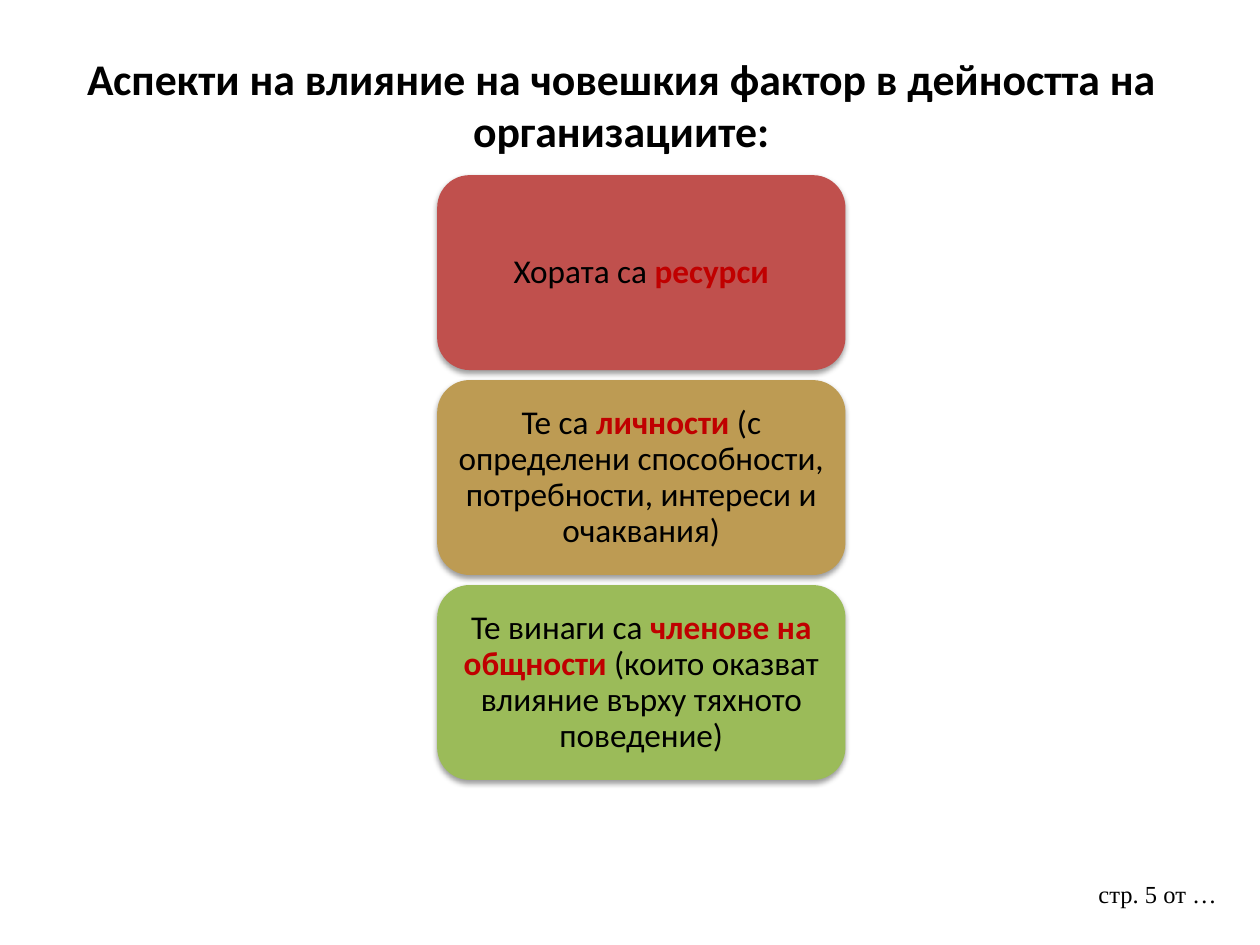
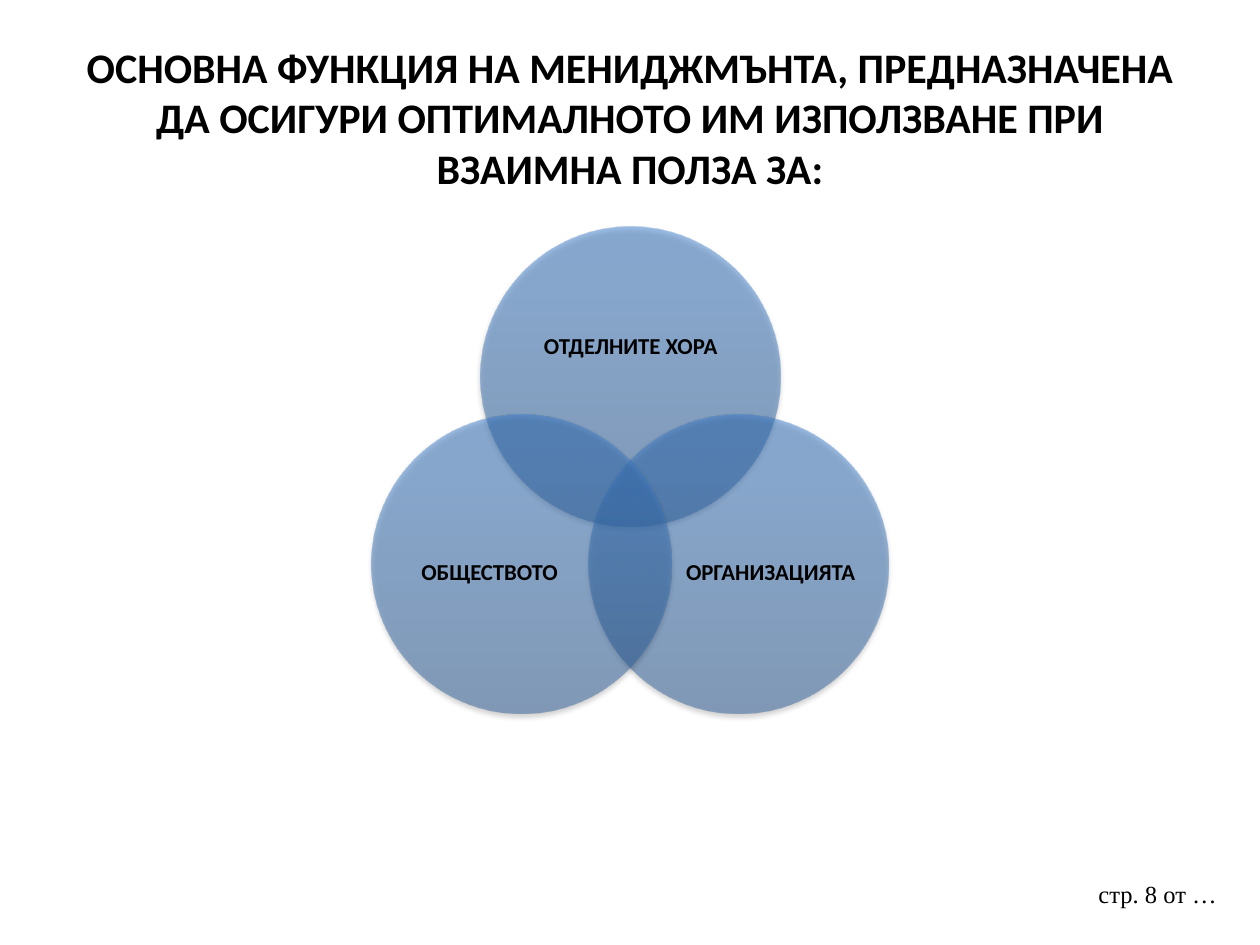
from math import cos, radians, sin

from lxml import etree
from pptx import Presentation
from pptx.dml.color import RGBColor
from pptx.enum.shapes import MSO_SHAPE
from pptx.enum.text import MSO_ANCHOR, MSO_AUTO_SIZE, PP_ALIGN
from pptx.oxml import parse_xml
from pptx.oxml.ns import nsdecls, qn
from pptx.util import Inches, Pt

ROUNDED, OVAL = MSO_SHAPE.ROUNDED_RECTANGLE, MSO_SHAPE.OVAL
MIDDLE, TOP = MSO_ANCHOR.MIDDLE, MSO_ANCHOR.TOP
CENTER, LEFT = PP_ALIGN.CENTER, PP_ALIGN.LEFT
NO_AUTOFIT = MSO_AUTO_SIZE.NONE
TITLE_ONLY = 5

COLORS = {
    "text": "000000",
    "accent": "C00000",
    "shadow": "000000",
    "red": "C0504D",
    "ochre": "BD9B53",
    "green": "9BBB59",
    "disc_low": "2F5F99",
    "disc_high": "3D7CC7",
    "disc_top": "3A7CCB",
}
DISC_STOPS = [(0, "disc_low"), (80, "disc_high"), (100, "disc_top")]

ASPECTS = [
    ("red", ["Хората са ", "ресурси"]),
    ("ochre", ["Те са ", "личности",
               " (с определени способности, потребности, интереси и очаквания)"]),
    ("green", ["Те винаги са ", "членове на общности",
               " (които оказват влияние върху тяхното поведение)"]),
]
BENEFICIARIES = [
    ("ОТДЕЛНИТЕ ХОРА", -90, (0.32, 0.42, 1.75, 1.07)),
    ("ОРГАНИЗАЦИЯТА", 30, (0.73, 0.61, 1.43, 1.31)),
    ("ОБЩЕСТВОТО", 150, (0.22, 0.61, 1.43, 1.31)),
]


def inches(box):
    """Convert a box of plain numbers to lengths."""
    return [Inches(value) for value in box]


def write(shape, spans, size, font="Calibri", bold=False, align=CENTER,
          anchor=MIDDLE, margins=(0.1, 0.05), line_spacing=None):
    """Write one paragraph; every second span is emphasised."""
    frame = shape.text_frame
    frame.word_wrap = True
    frame.auto_size = NO_AUTOFIT
    frame.vertical_anchor = anchor
    side, edge = inches(margins)
    frame.margin_left = frame.margin_right = side
    frame.margin_top = frame.margin_bottom = edge
    para = frame.paragraphs[0]
    para.alignment = align
    para.line_spacing = line_spacing
    for index, text in enumerate(spans):
        emphasis = index % 2 == 1
        span = para.add_run()
        span.text = text
        span.font.name = font
        span.font.size = Pt(size)
        span.font.bold = bold or emphasis
        color = COLORS["accent" if emphasis else "text"]
        span.font.color.rgb = RGBColor.from_string(color)


def add_shadow(shape, opacity, distance):
    """Give the shape a soft shadow that falls straight down."""
    shape.shadow.inherit = False
    effects = shape._element.spPr.find(qn("a:effectLst"))
    shadow = etree.SubElement(
        effects, qn("a:outerShdw"), blurRad=str(Pt(3.1)), dist=str(Pt(distance)),
        dir="5400000", rotWithShape="0")
    color = etree.SubElement(shadow, qn("a:srgbClr"), val=COLORS["shadow"])
    etree.SubElement(color, qn("a:alpha"), val=str(opacity * 1000))


def fill_gradient(shape, stops, opacity):
    """Fill the shape with a translucent gradient that rises from the bottom."""
    marks = "".join(
        f'<a:gs pos="{position * 1000}"><a:srgbClr val="{COLORS[color]}">'
        f'<a:alpha val="{opacity * 1000}"/></a:srgbClr></a:gs>'
        for position, color in stops)
    gradient = parse_xml(
        f'<a:gradFill {nsdecls("a")} rotWithShape="1"><a:gsLst>{marks}</a:gsLst>'
        '<a:lin ang="16200000" scaled="0"/></a:gradFill>')
    shape._element.spPr.find(qn("a:prstGeom")).addnext(gradient)


def add_page(deck, title, number, box, size):
    """Add a page with its title and page number."""
    page = deck.slides.add_slide(deck.slide_layouts[TITLE_ONLY])
    heading = page.shapes.title
    heading.left, heading.top, heading.width, heading.height = inches(box)
    write(heading, [title], size, bold=True, anchor=TOP)
    footer = page.shapes.add_textbox(*inches((8.62, 6.93, 1.3, 0.52)))
    write(footer, [f"стр. {number} от …"], 14, font="Times New Roman",
          align=LEFT, anchor=TOP)
    return page


def add_aspects(page, left, top, width, height, gap=0.08):
    """Stack the aspect cards evenly in the box."""
    card_height = (height - gap * (len(ASPECTS) - 1)) / len(ASPECTS)
    for index, (color, spans) in enumerate(ASPECTS):
        card_top = top + index * (card_height + gap)
        card = page.shapes.add_shape(
            ROUNDED, *inches((left, card_top, width, card_height)))
        card.fill.solid()
        card.fill.fore_color.rgb = RGBColor.from_string(COLORS[color])
        card.line.fill.background()
        add_shadow(card, 38, 1.6)
        write(card, spans, 19, margins=(0.08, 0.04), line_spacing=0.9)


def add_venn(page, center_x, center_y, diameter, orbit):
    """Set three overlapping discs with labels around a centre."""
    for label, angle, (dx, dy, width, height) in BENEFICIARIES:
        left = center_x + orbit * cos(radians(angle)) - diameter / 2
        top = center_y + orbit * sin(radians(angle)) - diameter / 2
        disc = page.shapes.add_shape(OVAL, *inches((left, top, diameter, diameter)))
        fill_gradient(disc, DISC_STOPS, 50)
        disc.line.fill.background()
        add_shadow(disc, 35, 1.8)
        caption = page.shapes.add_textbox(
            *inches((left + dx, top + dy, width, height)))
        write(caption, [label], 13, bold=True, margins=(0, 0), line_spacing=0.9)


def main():
    """Build and save the deck."""
    deck = Presentation()
    deck.slide_width, deck.slide_height = Inches(10), Inches(7.5)
    page = add_page(
        deck, "Аспекти на влияние на човешкия фактор в дейността на организациите:",
        5, (0.43, 0.36, 9, 1.02), 25)
    add_aspects(page, 3.47, 1.39, 3.24, 4.8)
    page = add_page(
        deck, "ОСНОВНА ФУНКЦИЯ НА МЕНИДЖМЪНТА, ПРЕДНАЗНАЧЕНА ДА ОСИГУРИ "
        "ОПТИМАЛНОТО ИМ ИЗПОЛЗВАНЕ ПРИ ВЗАИМНА ПОЛЗА ЗА:",
        8, (0.43, 0.28, 9.14, 1.57), 24)
    add_venn(page, 5, 3.98, 2.38, 0.993)
    deck.save("out.pptx")


if __name__ == "__main__":
    main()
